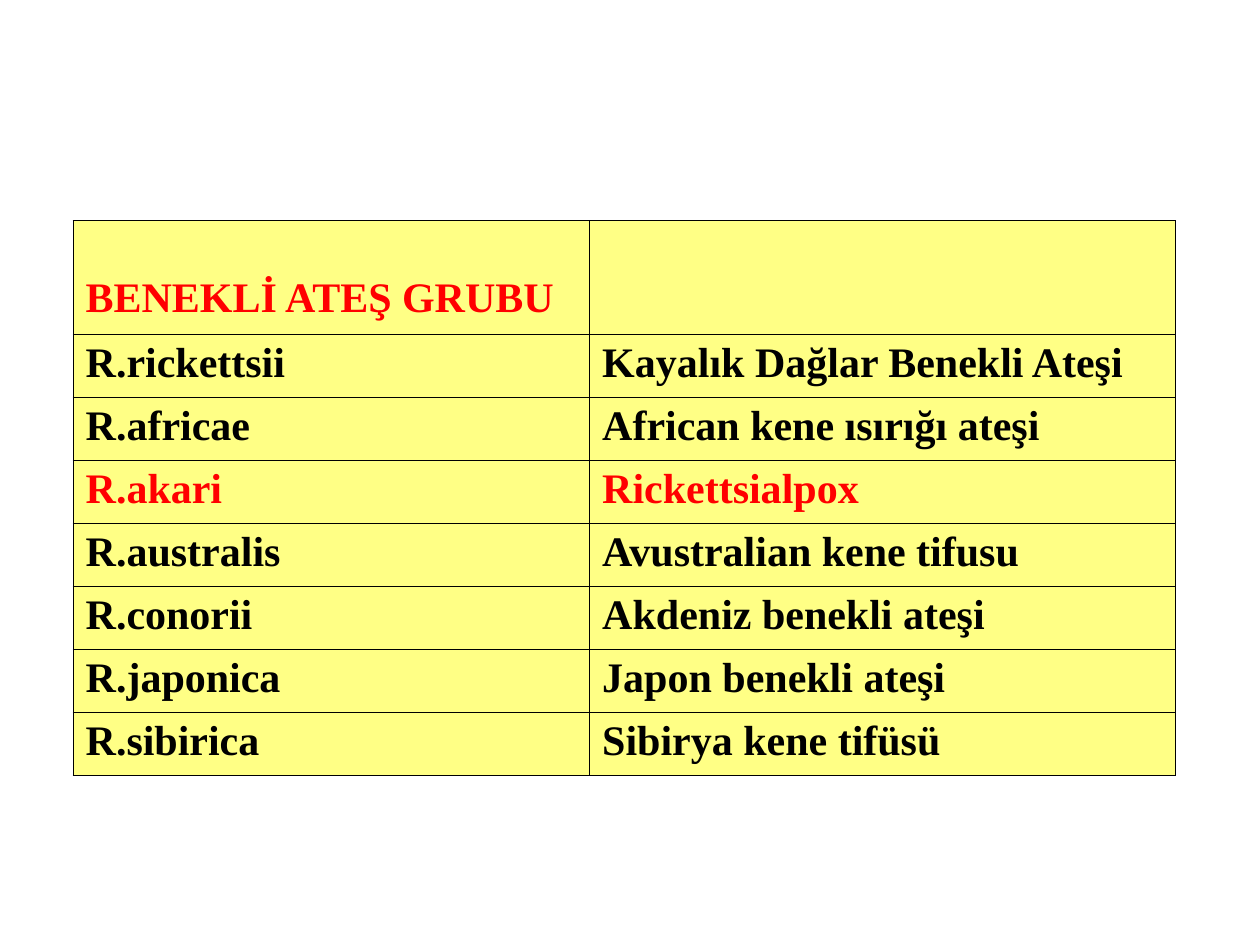
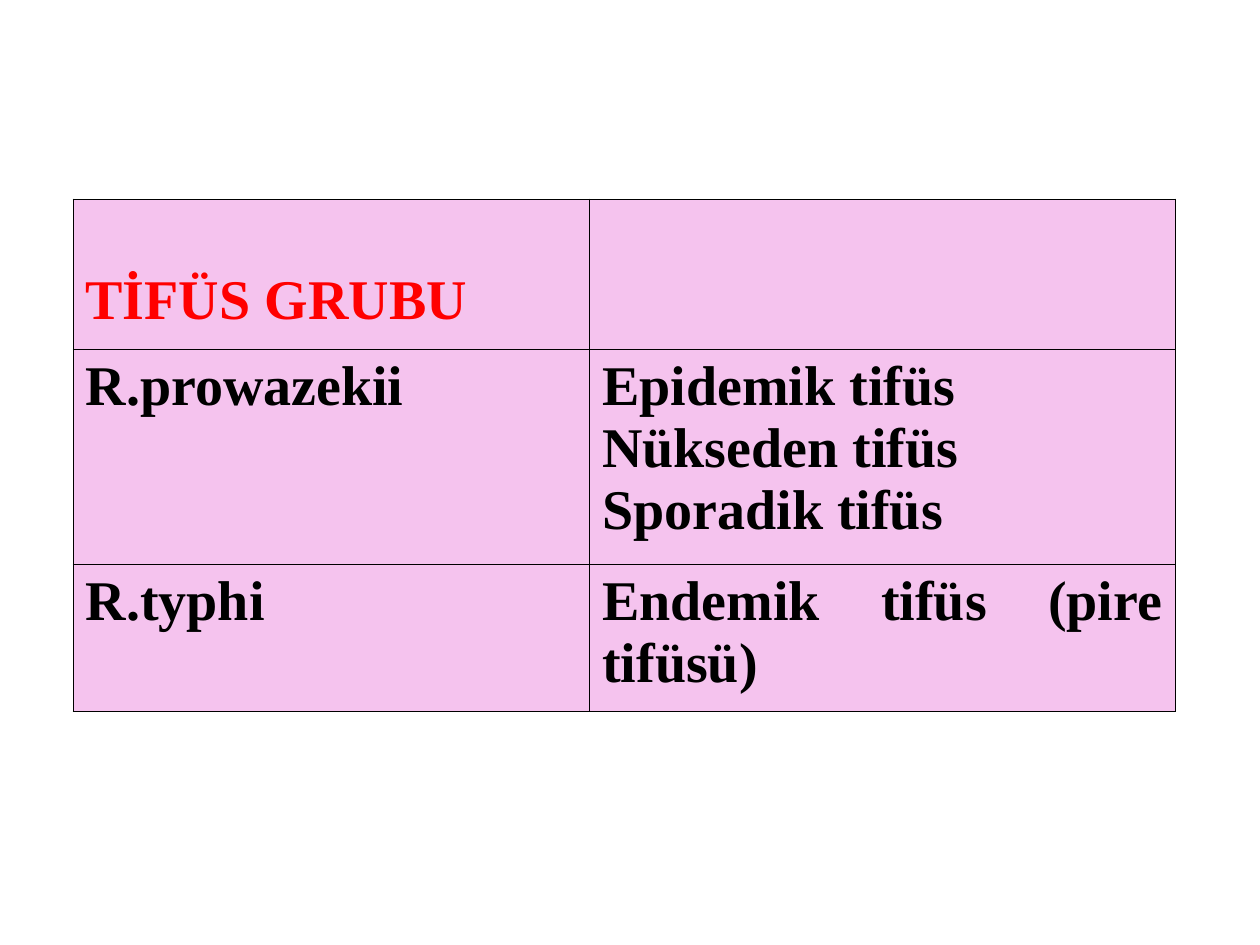
from dataclasses import dataclass

from lxml import etree
from pptx import Presentation
from pptx.dml.color import RGBColor
from pptx.enum import text
from pptx.oxml import ns
from pptx.util import Inches, Length, Pt

# Shared style
BLACK = RGBColor(0x00, 0x00, 0x00)
RED = RGBColor(0xFF, 0x00, 0x00)
YELLOW = RGBColor(0xFF, 0xFF, 0x85)
PINK = RGBColor(0xF5, 0xC3, 0xEE)
FONT = "Times New Roman"
LINE_SPACING = 1.15
BORDER_WIDTH = Pt(0.45)
TABLE_LEFT = Inches(0.58)
COLUMN_WIDTHS = (Inches(4.1), Inches(4.65))
CELL_INSET = Inches(0.05)


@dataclass(frozen=True)
class Disease:
    species: str
    names: str
    height: Length = Inches(0.5)
    color: RGBColor = BLACK


@dataclass(frozen=True)
class DiseaseGroup:
    title: str
    top: Length
    title_height: Length
    size: float
    fill: RGBColor
    diseases: tuple[Disease, ...]


SPOTTED_FEVER = DiseaseGroup(
    "BENEKLİ ATEŞ GRUBU", Inches(1.75), Inches(0.9), 24, YELLOW,
    (
        Disease("R.rickettsii", "Kayalık Dağlar Benekli Ateşi"),
        Disease("R.africae", "African kene ısırığı ateşi"),
        Disease("R.akari", "Rickettsialpox", color=RED),
        Disease("R.australis", "Avustralian kene tifusu"),
        Disease("R.conorii", "Akdeniz benekli ateşi"),
        Disease("R.japonica", "Japon benekli ateşi"),
        Disease("R.sibirica", "Sibirya kene tifüsü"),
    ),
)
TYPHUS = DiseaseGroup(
    "TİFÜS GRUBU", Inches(1.58), Inches(1.19), 32, PINK,
    (
        Disease("R.prowazekii", "Epidemik tifüs\nNükseden tifüs\nSporadik tifüs", Inches(1.71)),
        Disease("R.typhi", "Endemik tifüs (pire tifüsü)", Inches(1.17)),
    ),
)


def write_text(frame, content: str, *, size: float, color: RGBColor) -> None:
    """Write one justified bold paragraph for each line of the content."""
    frame.text = content
    for paragraph in frame.paragraphs:
        paragraph.alignment = text.PP_ALIGN.JUSTIFY
        paragraph.font.name = FONT
        paragraph.font.size = Pt(size)
        paragraph.font.bold = True
        paragraph.font.color.rgb = color


def style_cell(cell, fill: RGBColor) -> None:
    """Give a cell its thin border, fill and insets."""
    properties = cell._tc.get_or_add_tcPr()
    for side in ("a:lnL", "a:lnR", "a:lnT", "a:lnB"):
        line = etree.SubElement(properties, ns.qn(side), w=str(int(BORDER_WIDTH)))
        solid = etree.SubElement(line, ns.qn("a:solidFill"))
        etree.SubElement(solid, ns.qn("a:srgbClr"), val=str(BLACK))
    cell.fill.solid()
    cell.fill.fore_color.rgb = fill
    cell.margin_left = cell.margin_right = Inches(0.1)
    cell.margin_top = cell.margin_bottom = CELL_INSET


def add_group_slide(presentation, group: DiseaseGroup) -> None:
    """Add a slide with the table of one disease group."""
    slide = presentation.slides.add_slide(presentation.slide_layouts[6])
    heights = [group.title_height] + [disease.height for disease in group.diseases]
    table = slide.shapes.add_table(
        len(heights), len(COLUMN_WIDTHS), TABLE_LEFT, group.top,
        sum(COLUMN_WIDTHS), sum(heights),
    ).table
    table.first_row = table.horz_banding = False
    for column, width in zip(table.columns, COLUMN_WIDTHS):
        column.width = width
    for row, height in zip(table.rows, heights):
        row.height = height
    for cell in table.iter_cells():
        style_cell(cell, group.fill)

    # The group title sits one line down in its row
    title_cell = table.cell(0, 0)
    title_cell.margin_top = CELL_INSET + Pt(group.size * LINE_SPACING)
    write_text(title_cell.text_frame, group.title, size=group.size, color=RED)

    # Species on the left, disease names on the right
    for row_index, disease in enumerate(group.diseases, start=1):
        for column_index, content in enumerate((disease.species, disease.names)):
            frame = table.cell(row_index, column_index).text_frame
            write_text(frame, content, size=group.size, color=disease.color)


def main() -> None:
    presentation = Presentation()
    presentation.slide_width = Inches(10)
    presentation.slide_height = Inches(7.5)
    for group in (SPOTTED_FEVER, TYPHUS):
        add_group_slide(presentation, group)
    presentation.save("out.pptx")


if __name__ == "__main__":
    main()
